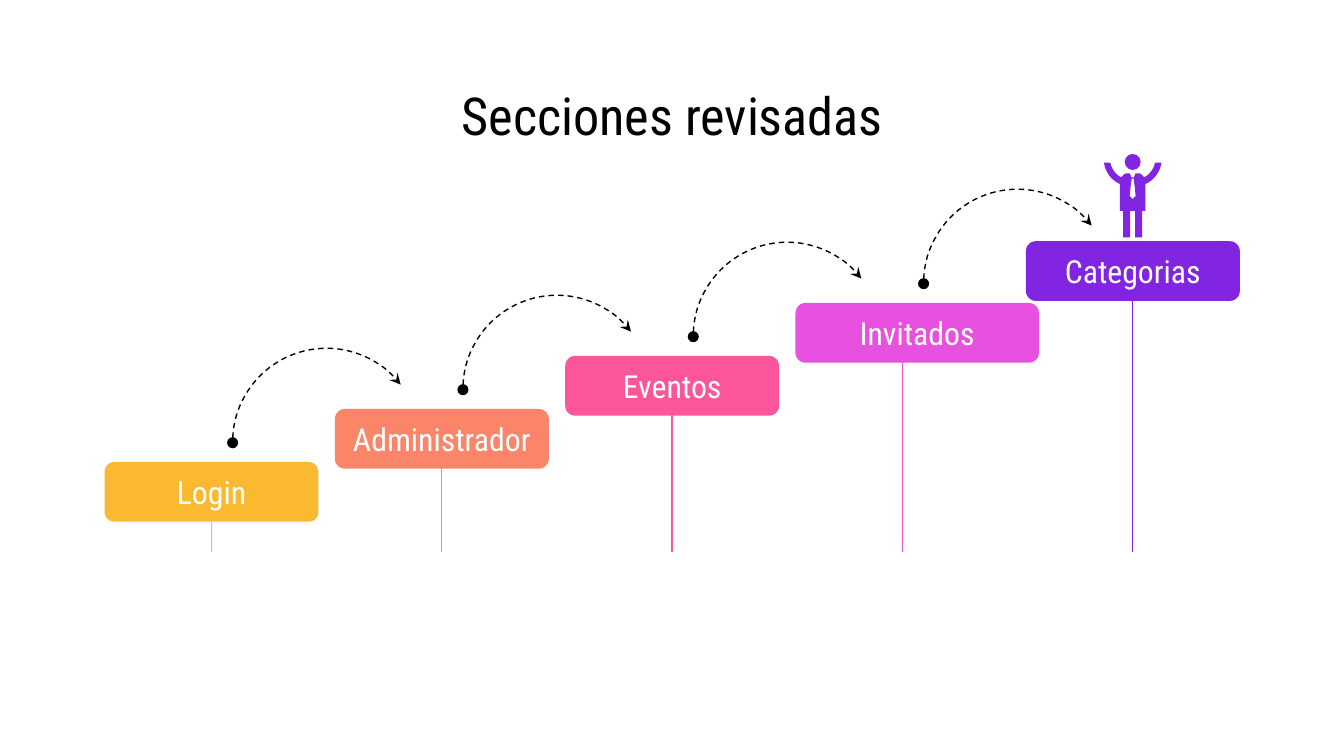
from lxml.etree import SubElement
from pptx import Presentation
from pptx.dml.color import RGBColor
from pptx.enum.dml import MSO_LINE
from pptx.enum.shapes import MSO_CONNECTOR, MSO_SHAPE
from pptx.enum.text import MSO_ANCHOR, PP_ALIGN
from pptx.oxml.ns import qn
from pptx.util import Pt

BLACK = RGBColor(0x00, 0x00, 0x00)
WHITE = RGBColor(0xFF, 0xFF, 0xFF)
YELLOW = RGBColor(0xFB, 0xB8, 0x31)
ORANGE = RGBColor(0xFB, 0x85, 0x69)
PINK = RGBColor(0xFB, 0x56, 0x9C)
MAGENTA = RGBColor(0xE8, 0x50, 0xE0)
PURPLE = RGBColor(0x82, 0x25, 0xE2)

FONT = "Roboto Condensed"
STEP_X, STEP_Y = 123.4, 28.4
STEM_X, STEM_BOTTOM = 113.2, 295.6
BOX_LEFT, BOX_HEIGHT = 56, 32
ARC_LEFT, ARC_TOP, ARC_SIZE = 124.6, 186.6, 100.6

# Label, colour, box top, box width
STEPS = [
    ("Login", YELLOW, 247.5, 114.6),
    ("Administrador", ORANGE, 247.5 - STEP_Y, 114.6),
    ("Eventos", PINK, 247.5 - 2 * STEP_Y, 114.6),
    ("Invitados", MAGENTA, 247.5 - 3 * STEP_Y, 130.4),
    ("Categorias", PURPLE, 129.2, 114.6),
]


def write_text(shape, text, size, color):
    """Put one centred run in a shape."""
    frame = shape.text_frame
    frame.word_wrap = True
    frame.vertical_anchor = MSO_ANCHOR.MIDDLE
    frame.margin_left = frame.margin_right = Pt(7.2)
    frame.margin_top = frame.margin_bottom = Pt(7.2)
    para = frame.paragraphs[0]
    para.alignment = PP_ALIGN.CENTER
    span = para.add_run()
    span.text = text
    span.font.name = FONT
    span.font.size = Pt(size)
    span.font.color.rgb = color


def paint(shape, color):
    shape.shadow.inherit = False
    shape.fill.solid()
    shape.fill.fore_color.rgb = color
    shape.line.fill.background()


def add_title(page, text):
    title = page.shapes.title
    title.left, title.top = Pt(56), Pt(42.5)
    title.width, title.height = Pt(608), Pt(38.2)
    write_text(title, text, 28, BLACK)


def add_jump(page, left, top):
    """Dashed arc with a dot at its start and an arrowhead at its end."""
    arc = page.shapes.add_shape(
        MSO_SHAPE.ARC, Pt(left), Pt(top), Pt(ARC_SIZE), Pt(ARC_SIZE))
    arc.adjustments[0], arc.adjustments[1] = 107.804, 193.313
    arc.shadow.inherit = False
    arc.fill.background()
    arc.line.color.rgb = BLACK
    arc.line.width = Pt(0.75)
    arc.line.dash_style = MSO_LINE.DASH
    outline = arc._element.spPr.find(qn("a:ln"))
    SubElement(outline, qn("a:headEnd"), type="oval", w="med", len="med")
    SubElement(outline, qn("a:tailEnd"), type="stealth", w="med", len="med")


def add_stem(page, x, top, color):
    stem = page.shapes.add_connector(
        MSO_CONNECTOR.STRAIGHT, Pt(x), Pt(top), Pt(x), Pt(STEM_BOTTOM))
    stem.line.color.rgb = color
    stem.line.width = Pt(0.75)
    SubElement(stem._element.spPr, qn("a:effectLst"))


def add_box(page, text, left, top, width, color):
    box = page.shapes.add_shape(
        MSO_SHAPE.ROUNDED_RECTANGLE,
        Pt(left), Pt(top), Pt(width), Pt(BOX_HEIGHT))
    box.adjustments[0] = 0.167
    paint(box, color)
    write_text(box, text, 17, WHITE)


def curve(start, control_1, control_2, end, count=8):
    """Points on a cubic Bezier curve, both ends included."""
    points = []
    for i in range(count + 1):
        t = i / count
        weights = ((1 - t) ** 3, 3 * t * (1 - t) ** 2,
                   3 * t * t * (1 - t), t ** 3)
        points.append(tuple(
            sum(w * value for w, value in zip(weights, axis))
            for axis in zip(start, control_1, control_2, end)))
    return points


def mirrored(half, center):
    """Close a right half, given as offsets from the center, with its mirror."""
    return ([(Pt(center + x), Pt(y)) for x, y in half]
            + [(Pt(center - x), Pt(y)) for x, y in reversed(half)])


def add_person(page, center):
    """Cheering person: round head, suited body with a tie cut out."""
    head = page.shapes.add_shape(
        MSO_SHAPE.OVAL, Pt(center - 4.3), Pt(82.5), Pt(8.6), Pt(8.6))
    paint(head, PURPLE)

    half_body = (
        [(0.7, 95), (1.5, 92.9)]
        + curve((3.2, 92.9), (4.7, 92.9), (5.4, 94.3), (6.1, 95))
        + curve((6.1, 95), (9, 93.6), (11.2, 90.7), (12, 87.1))
        + curve((15.4, 87.1), (14.7, 92.2), (11.5, 96.5), (6.8, 98.6))
        + [(6.8, 113), (5.1, 113), (5.1, 127.2), (1.3, 127.2), (1.3, 113)])
    half_tie = [(0.6, 95.7), (0.6, 96.5), (1.1, 100), (1.6, 105), (0, 106.6)]
    body = mirrored(half_body, center)
    tie = mirrored(half_tie, center)

    builder = page.shapes.build_freeform(*body[0])
    builder.add_line_segments(body[1:], close=True)
    builder.move_to(*tie[0])
    builder.add_line_segments(tie[1:], close=True)
    paint(builder.convert_to_shape(), PURPLE)


def main():
    deck = Presentation()
    deck.slide_width, deck.slide_height = Pt(720), Pt(405)
    page = deck.slides.add_slide(deck.slide_layouts[5])
    add_title(page, "Secciones revisadas")

    # Jumps between neighbouring steps
    for i in range(len(STEPS) - 1):
        add_jump(page, ARC_LEFT + i * STEP_X, ARC_TOP - i * STEP_Y)

    # Rising steps on their stems
    for i, (label, color, top, width) in enumerate(STEPS):
        add_stem(page, STEM_X + i * STEP_X, top + BOX_HEIGHT - 2, color)
        add_box(page, label, BOX_LEFT + i * STEP_X, top, width, color)

    # Person on the last step
    add_person(page, STEM_X + (len(STEPS) - 1) * STEP_X)
    deck.save("out.pptx")


if __name__ == "__main__":
    main()
